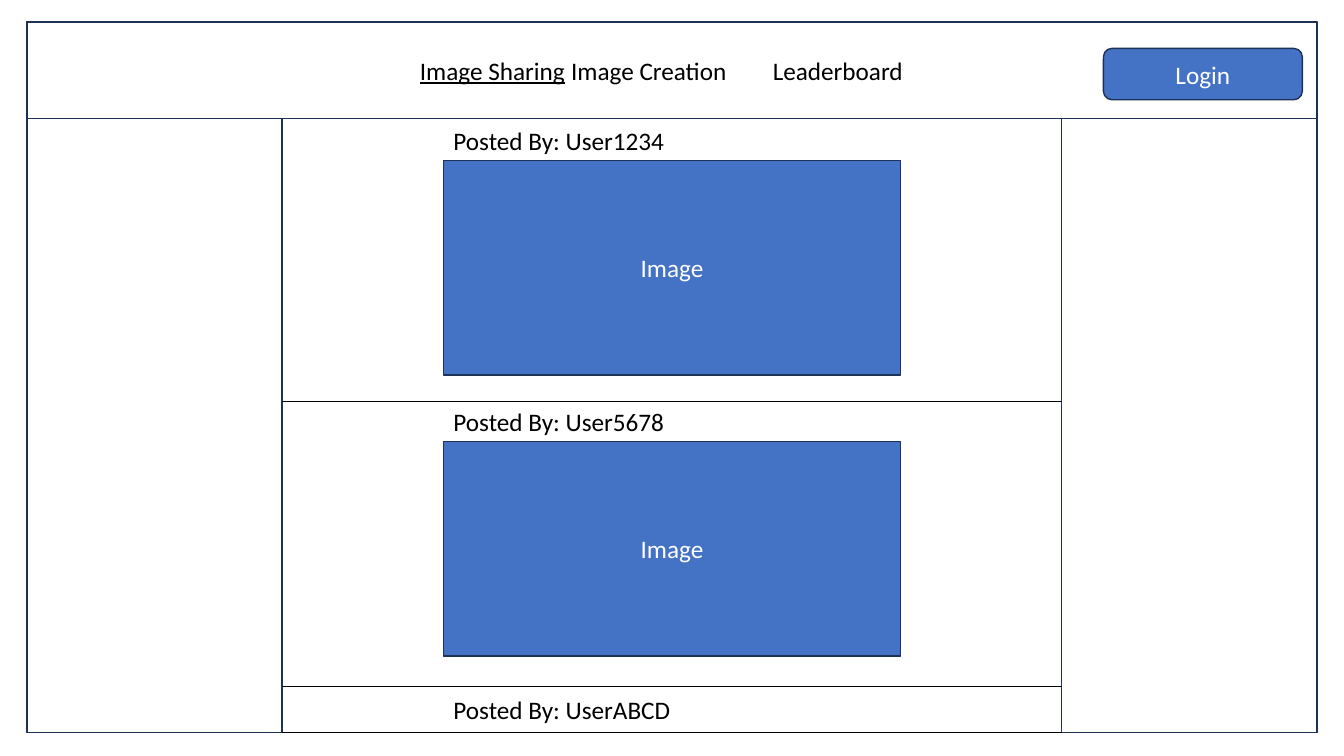
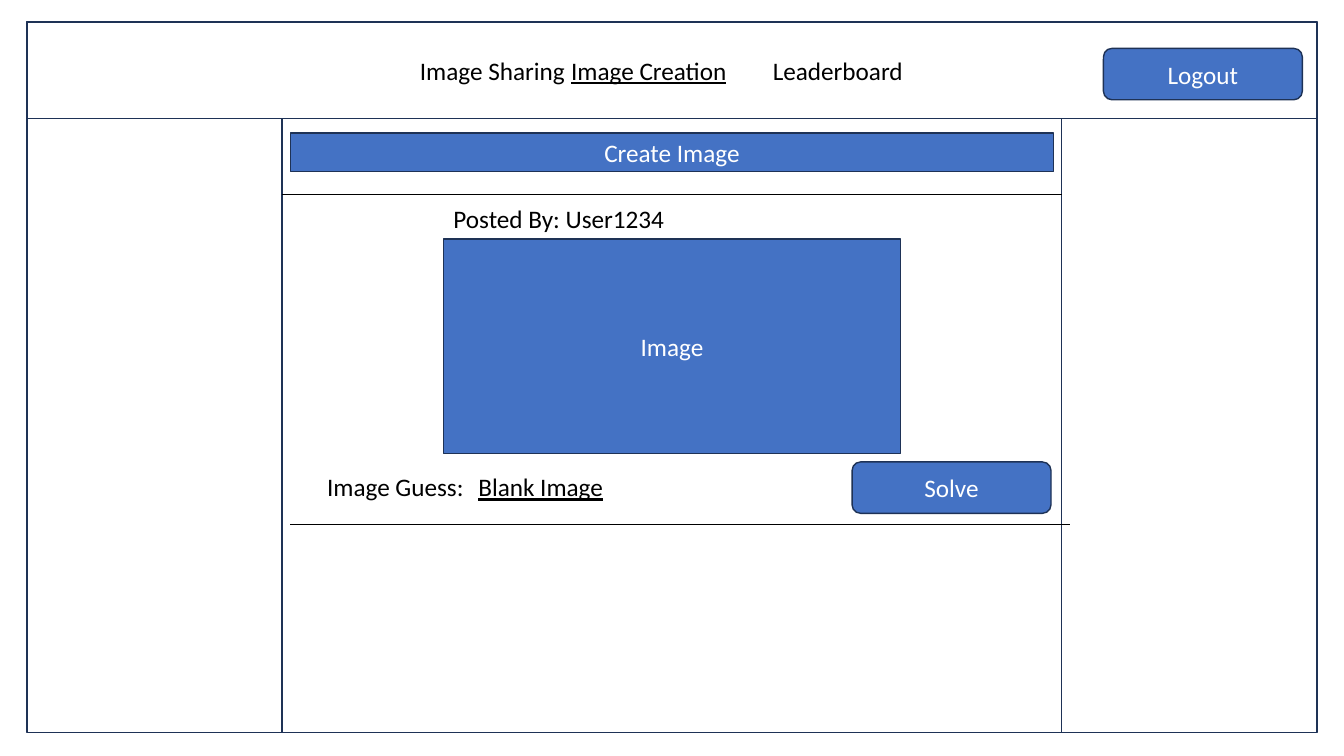
from dataclasses import dataclass

from lxml.etree import SubElement
from pptx import Presentation
from pptx.dml.color import RGBColor
from pptx.enum.shapes import MSO_CONNECTOR, MSO_SHAPE
from pptx.enum.text import MSO_ANCHOR, PP_ALIGN
from pptx.oxml.ns import qn
from pptx.util import Inches, Pt


@dataclass(frozen=True)
class Theme:
    font: str = "Calibri"
    text_size: Pt = Pt(18)
    outline_width: Pt = Pt(1)
    rule_width: Pt = Pt(0.5)
    white: RGBColor = RGBColor(0xFF, 0xFF, 0xFF)
    black: RGBColor = RGBColor(0x00, 0x00, 0x00)
    blue: RGBColor = RGBColor(0x44, 0x72, 0xC4)
    navy: RGBColor = RGBColor(0x1E, 0x32, 0x56)


theme = Theme()
deck = Presentation()
deck.slide_width, deck.slide_height = Inches(13.33), Inches(7.5)

# Grid: 100 columns by 100 rows; places are left, top, width, height
column, row = deck.slide_width / 100, deck.slide_height / 100
window = (2, 2.9, 96, 94)
header = (2, 2.9, 96, 12.8)
feed = (21, 15.7, 58, 81.2)
window_bottom = window[1] + window[3]
post_left, post_width = 33, 34
caption_height, image_height = 5.3, 28.4
button_width, button_height = 14.8, 6.8


def add_box(page, kind, place, fill=None, text=""):
    """Add an outlined shape, or a plain text box when kind is None."""
    left, top, width, height = place
    frame = [round(size) for size in (left * column, top * row, width * column, height * row)]
    if kind is None:
        box = page.shapes.add_textbox(*frame)
    else:
        box = page.shapes.add_shape(kind, *frame)
        box.shadow.inherit = False
        box.line.color.rgb = theme.navy
        box.line.width = theme.outline_width
        box.text_frame.vertical_anchor = MSO_ANCHOR.MIDDLE
        box.text_frame.paragraphs[0].alignment = PP_ALIGN.CENTER
        if fill is None:
            box.fill.background()
        else:
            box.fill.solid()
            box.fill.fore_color.rgb = fill
    box.text_frame.word_wrap = True
    if text:
        add_span(box, text, theme.white if fill == theme.blue else theme.black)
    return box


def add_span(box, text, color=theme.black, underline=False):
    """Append a run in the theme's type to the box's first paragraph."""
    span = box.text_frame.paragraphs[0].add_run()
    span.text = text
    span.font.name, span.font.size = theme.font, theme.text_size
    span.font.color.rgb = color
    span.font.underline = underline


# What differs from page to page; posts are (author, image top), rules (left, top)
tabs = ["Image Sharing", "Image Creation", "Leaderboard"]
screens = [
    {
        "tab": "Image Sharing",
        "account": "Login",
        "posts": [("User1234", 21.2), ("User5678", 58.4), ("UserABCD", 96.5)],
        "rules": [(21, 53.1), (21, 90.8), (21, window_bottom)],
    },
    {
        "tab": "Image Creation",
        "account": "Logout",
        "posts": [("User1234", 31.6)],
        "rules": [(21, 25.7), (21.6, 69.3)],
    },
]

for screen in screens:
    page = deck.slides.add_slide(deck.slide_layouts[6])

    # Window, feed column and header
    add_box(page, MSO_SHAPE.RECTANGLE, window, theme.white)
    add_box(page, MSO_SHAPE.RECTANGLE, feed)
    navigation = add_box(page, MSO_SHAPE.RECTANGLE, header)
    for tab in tabs:
        add_span(navigation, tab, underline=tab == screen["tab"])
        add_span(navigation, "\t")
    add_box(page, MSO_SHAPE.ROUNDED_RECTANGLE,
            (82.1, 6.4, button_width, button_height), theme.blue, screen["account"])

    # Posts, with an image wherever it fits in the window
    for author, image_top in screen["posts"]:
        if image_top + image_height <= window_bottom:
            add_box(page, MSO_SHAPE.RECTANGLE,
                    (post_left, image_top, post_width, image_height), theme.blue, "Image")
        add_box(page, None, (post_left, image_top - caption_height, post_width, caption_height),
                text=f"Posted By: {author}")

    # Rules between posts
    for left, top in screen["rules"]:
        rule = page.shapes.add_connector(
            MSO_CONNECTOR.STRAIGHT, round(left * column), round(top * row),
            round((left + feed[2]) * column), round(top * row))
        rule.line.color.rgb = theme.black
        rule.line.width = theme.rule_width
        SubElement(rule.element.spPr, qn("a:effectLst"))

# Creation controls on the last page
add_box(page, MSO_SHAPE.RECTANGLE, (21.6, 17.6, 56.8, 5.1), theme.blue, "Create Image")
guess = add_box(page, None, (23.6, 61.7, 39.8, caption_height), text="Image Guess:")
add_span(guess, "\t")
add_span(guess, "Blank Image", underline=True)
add_box(page, MSO_SHAPE.ROUNDED_RECTANGLE,
        (63.4, 61.1, button_width, button_height), theme.blue, "Solve")

deck.save("out.pptx")
